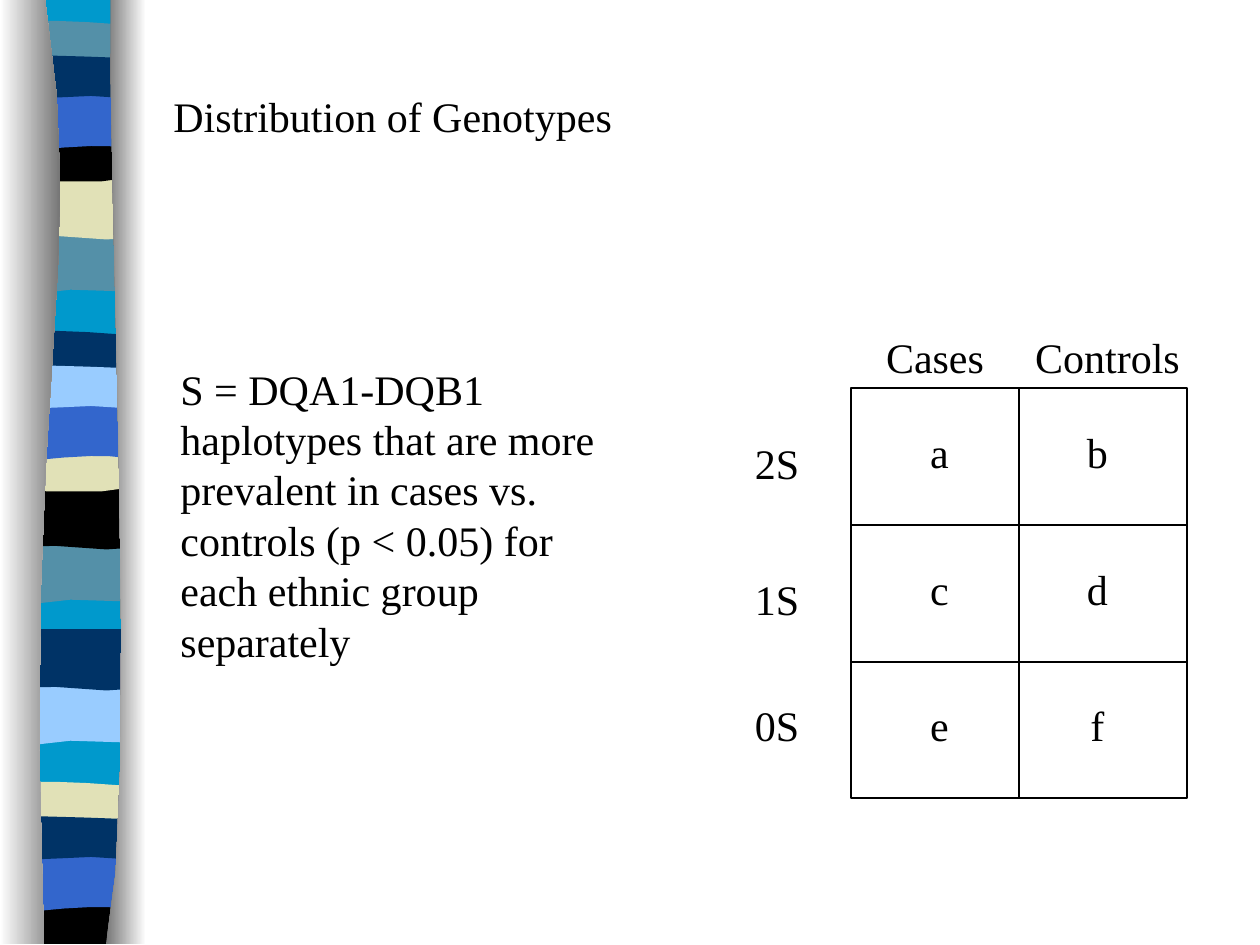
from pptx import Presentation
from pptx import util as u
from pptx.dml import color
from pptx.enum import shapes, text
from pptx.oxml import ns

EMU_PER_PX = 914400 / 126
FONT = "Times New Roman"
LEFT, RIGHT = 6, 142

OUTLINES = {
    "dip": [(RIGHT, 0), (RIGHT, 59), (49, 49, 29, 69, LEFT, 59), (LEFT, 0)],
    "wave": [(RIGHT, 0), (RIGHT, 59), (120, 68, 49, 52, LEFT, 59), (LEFT, 0)],
    "ribbon": [(RIGHT, 6), (RIGHT, 36), (120, 41, 29, 41, LEFT, 36), (LEFT, 6),
               (15, 0, 37, 1, 59, 1), (82, 1, 126, 5, RIGHT, 6)],
    "bowl": [(RIGHT, 0), (RIGHT, 40), (120, 48, 29, 48, LEFT, 40), (LEFT, 0),
             (91, 6, 115, 0, RIGHT, 0)],
    "foot": [(RIGHT, 0), (RIGHT, 47), (LEFT, 47), (LEFT, 0), (91, 6, 115, 0, RIGHT, 0)],
    "arch": [(RIGHT, 0), (RIGHT, 59), (122, 53, 113, 53, 91, 53),
             (68, 53, 28, 59, LEFT, 59), (LEFT, 0)],
    "cap": [(RIGHT, 6), (RIGHT, 44), (135, 50, 113, 44, 91, 44),
            (68, 44, 20, 50, LEFT, 44), (LEFT, 6), (26, 0, 99, 6, 122, 6), (RIGHT, 6)],
}
LONG_SHIFTS = (0, 310, 761)
SHORT_SHIFTS = (0, 310, 451)
STRIPES = [
    ("dip", 233, SHORT_SHIFTS, ("5490A8", "5490A8", "99CCFF")),
    ("wave", 178, SHORT_SHIFTS, ("E1E1B7", "000000", "003366")),
    ("ribbon", 20, LONG_SHIFTS, ("5490A8", "003366", "E1E1B7")),
    ("bowl", 136, LONG_SHIFTS, ("000000", "E1E1B7")),
    ("foot", 897, (0,), ("000000",)),
    ("arch", 93, LONG_SHIFTS, ("3366CC", "3366CC", "3366CC")),
    ("cap", 52, LONG_SHIFTS, ("003366", "99CCFF", "003366")),
]
LEFT_SHADE = [(45, -1), (89, 272, 21, 373, 44, 944), (1, 944), (0, -1)]
RIGHT_SHADE = [(111, -1), (106, 158, 140, 814, 106, 944), (146, 944), (146, 0)]


def px(length):
    """Turn px into EMU."""
    return u.Emu(round(length * EMU_PER_PX))


def rgb(value):
    """Turn a hex string into a colour."""
    return color.RGBColor.from_string(value)


def trace(outline, steps):
    """Turn corners and cubic curves into a list of points."""
    points = [outline[0]]
    for segment in outline[1:]:
        if len(segment) == 2:
            points.append(segment)
            continue
        controls = [points[-1], segment[:2], segment[2:4], segment[4:]]
        for step in range(1, steps + 1):
            t = step / steps
            weights = ((1 - t) ** 3, 3 * t * (1 - t) ** 2, 3 * t * t * (1 - t), t ** 3)
            points.append(tuple(sum(w * c[axis] for w, c in zip(weights, controls))
                                for axis in (0, 1)))
    return points


def add_outline(slide, outline, fills, top=0, steps=3):
    """Draw a closed outline with one fill colour or a left-to-right gradient."""
    points = [(px(x), px(y + top)) for x, y in trace(outline, steps)]
    if points[-1] == points[0]:
        points.pop()
    builder = slide.shapes.build_freeform(*points[0])
    builder.add_line_segments(points[1:], close=True)
    shape = builder.convert_to_shape()
    shape.shadow.inherit = False
    shape.line.fill.background()
    if len(fills) == 1:
        shape.fill.solid()
        shape.fill.fore_color.rgb = rgb(fills[0])
    else:
        shape.fill.gradient()
        shape.fill.gradient_angle = 0
        for stop, fill in zip(shape.fill.gradient_stops, fills):
            stop.color.rgb = rgb(fill)


def add_frame(slide, left, top, width, height):
    """Draw a white rectangle with a thin black border."""
    shape = slide.shapes.add_shape(shapes.MSO_SHAPE.RECTANGLE, px(left), px(top),
                                   px(width), px(height))
    shape.shadow.inherit = False
    shape.fill.solid()
    shape.fill.fore_color.rgb = rgb("FFFFFF")
    shape.line.color.rgb = rgb("000000")
    shape.line.width = u.Pt(0.75)
    return shape


def add_line(slide, x1, y1, x2, y2):
    """Draw a thin black line."""
    line = slide.shapes.add_connector(shapes.MSO_CONNECTOR.STRAIGHT,
                                      px(x1), px(y1), px(x2), px(y2))
    line.line.color.rgb = rgb("000000")
    line.line.width = u.Pt(0.75)
    line._element.spPr.append(line._element.spPr.makeelement(ns.qn("a:effectLst"), {}))
    return line


def add_text(slide, words, left, top, width, height, align=text.PP_ALIGN.CENTER):
    """Place one paragraph of text and return its frame."""
    box = slide.shapes.add_textbox(px(left), px(top), px(width), px(height))
    frame = box.text_frame
    frame.word_wrap = True
    paragraph = frame.paragraphs[0]
    paragraph.alignment = align
    run = paragraph.add_run()
    run.text = words
    run.font.name = FONT
    run.font.size = u.Pt(24)
    run.font.color.rgb = rgb("000000")
    return frame


def add_ribbon(slide):
    """Draw the striped band and its shaded edges."""
    add_outline(slide, [(RIGHT, -1), (RIGHT, 941), (LEFT, 941), (LEFT, -1)], ["0099CC"])
    for name, top, shifts, fills in STRIPES:
        for shift, fill in zip(shifts, fills):
            add_outline(slide, OUTLINES[name], [fill], top + shift)
    add_outline(slide, LEFT_SHADE, ["FFFFFF", "767676"], steps=8)
    add_outline(slide, RIGHT_SHADE, ["767676", "FFFFFF"], steps=8)


def add_genotype_grid(slide):
    """Draw the two by three grid with its letters and headings."""
    left, top, width, height = 851, 388, 336, 410
    frame = add_frame(slide, left, top, width, height)
    middle = left + width // 2
    divider = add_line(slide, middle, top, middle, top + height)
    divider.begin_connect(frame, 0)
    divider.end_connect(frame, 2)
    add_line(slide, left, 504, left, 504)
    for y in (525, 662):
        add_line(slide, left, y, left + width, y)
    for letters, y in zip(("ab", "cd", "ef"), (420, 557, 693)):
        for letter, x in zip(letters, (903, 1061)):
            add_text(slide, letter, x, y, 73, 113)
    add_text(slide, "Cases", 851, 325, 168, 113)
    add_text(slide, "Controls", 1008, 325, 199, 113)
    for label, y in (("2S", 431), ("1S", 567), ("0S", 693)):
        add_text(slide, label, 714, y, 126, 113)


def main():
    """Build and save the slide."""
    presentation = Presentation()
    presentation.slide_width, presentation.slide_height = px(1260), px(945)
    slide = presentation.slides.add_slide(presentation.slide_layouts[6])
    add_ribbon(slide)
    title = add_text(slide, "Distribution of Genotypes", 161, 63, 1071, 157,
                     text.PP_ALIGN.LEFT)
    title.vertical_anchor = text.MSO_ANCHOR.MIDDLE
    title.margin_bottom = px(57)
    add_text(slide, "S = DQA1-DQB1 haplotypes that are more prevalent in cases vs. "
             "controls (p < 0.05) for each ethnic group separately",
             168, 357, 483, 416, text.PP_ALIGN.LEFT)
    add_genotype_grid(slide)
    presentation.save("out.pptx")


if __name__ == "__main__":
    main()
